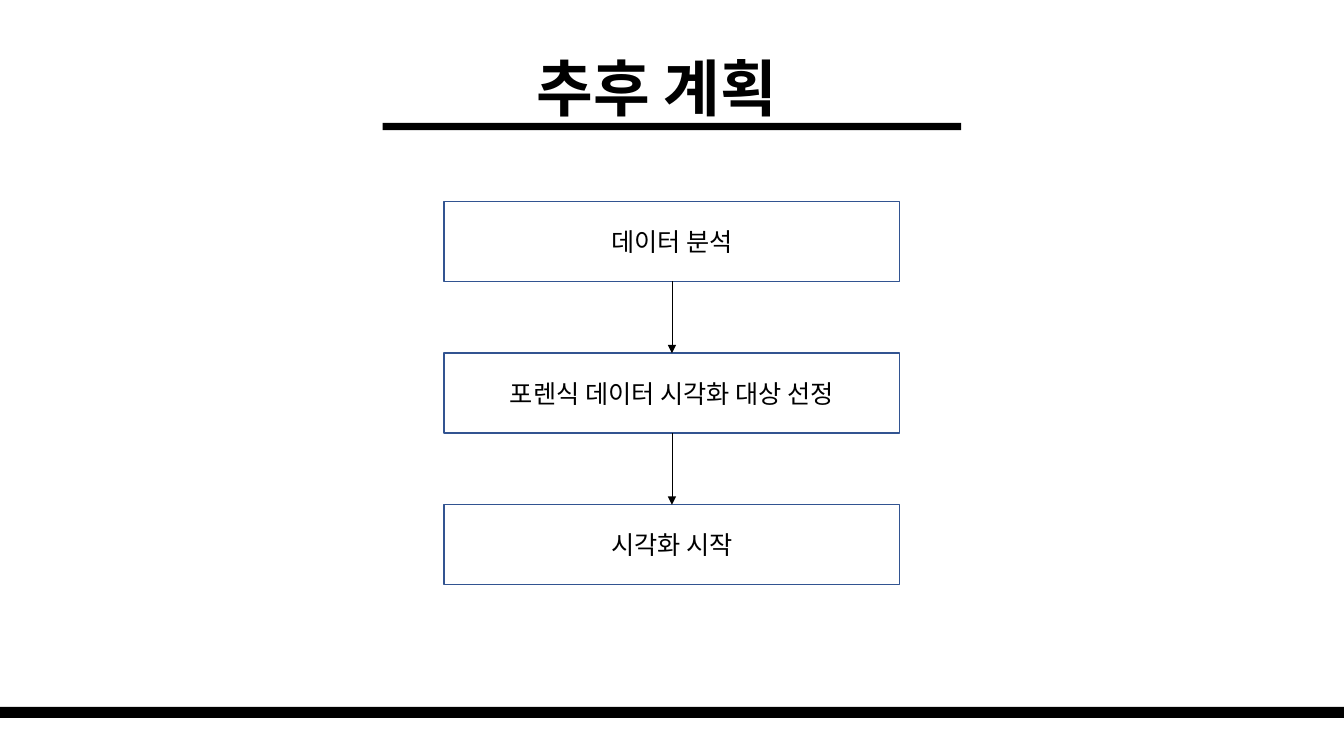
import pptx
import pptx.chart.data
import pptx.dml.color
import pptx.enum.shapes
import pptx.enum.text
import pptx.oxml.ns
import pptx.util
from lxml import etree

Cm = pptx.util.Cm
Pt = pptx.util.Pt
SHAPES = pptx.enum.shapes.MSO_SHAPE

# Content
TITLE = "추후 계획"
STEPS = ["데이터 분석", "포렌식 데이터 시각화 대상 선정", "시각화 시작"]

THEME = {
    "font": "Noto Sans CJK KR",
    "ink": "000000",
    "paper": "FFFFFF",
    "border": "325491",
    "title_size": 44,
    "step_size": 18,
    "border_width": 1,
    "arrow_width": 0.5,
}

# Layout in centimetres
PAGE_WIDTH, PAGE_HEIGHT = 33.87, 19.05
STEP_WIDTH, STEP_HEIGHT = 11.48, 2.01
STEP_TOP, STEP_PITCH = 5.08, 3.82
RULE_WIDTH = 14.58


def color(name):
    return pptx.dml.color.RGBColor.from_string(THEME[name])


def add_xml(parent, tag, **attributes):
    return etree.SubElement(parent, pptx.oxml.ns.qn(tag), attributes)


def write(box, text, size, bold=False):
    box.text_frame.text = text
    para = box.text_frame.paragraphs[0]
    para.alignment = pptx.enum.text.PP_ALIGN.CENTER
    span = para.runs[0]
    span.font.size = Pt(THEME[size])
    span.font.bold = bold
    span.font.color.rgb = color("ink")
    span.font.name = THEME["font"]
    add_xml(span.font._element, "a:ea", typeface=THEME["font"])


def add_rectangle(page, left, top, width, height, fill):
    box = page.shapes.add_shape(
        SHAPES.RECTANGLE, Cm(left), Cm(top), Cm(width), Cm(height))
    box.shadow.inherit = False
    box.fill.solid()
    box.fill.fore_color.rgb = color(fill)
    box.line.fill.background()
    return box


def add_step(page, index, text):
    box = add_rectangle(page, (PAGE_WIDTH - STEP_WIDTH) / 2,
                        STEP_TOP + index * STEP_PITCH,
                        STEP_WIDTH, STEP_HEIGHT, "paper")
    box.line.color.rgb = color("border")
    box.line.width = Pt(THEME["border_width"])
    box.text_frame.vertical_anchor = pptx.enum.text.MSO_ANCHOR.MIDDLE
    write(box, text, "step_size")
    return box


def add_arrow(page, upper, lower):
    arrow = page.shapes.add_connector(
        pptx.enum.shapes.MSO_CONNECTOR.STRAIGHT, 0, 0, 0, 0)
    arrow.begin_connect(upper, 2)
    arrow.end_connect(lower, 0)
    arrow.line.color.rgb = color("ink")
    arrow.line.width = Pt(THEME["arrow_width"])
    add_xml(arrow.line._get_or_add_ln(), "a:tailEnd", type="triangle")
    add_xml(arrow._element.spPr, "a:effectLst")


def main():
    deck = pptx.Presentation()
    deck.slide_width, deck.slide_height = Cm(PAGE_WIDTH), Cm(PAGE_HEIGHT)
    page = deck.slides.add_slide(deck.slide_layouts[6])

    # Title rule and footer bar
    add_rectangle(page, (PAGE_WIDTH - RULE_WIDTH) / 2, 3.1, RULE_WIDTH, 0.18, "ink")
    add_rectangle(page, 0, 17.81, PAGE_WIDTH, 0.28, "ink")

    # Title
    title = page.shapes.add_textbox(Cm(13.18), Cm(1.14), Cm(6.76), Cm(2.13))
    title.text_frame.word_wrap = False
    title.text_frame.auto_size = pptx.enum.text.MSO_AUTO_SIZE.SHAPE_TO_FIT_TEXT
    write(title, TITLE, "title_size", bold=True)

    # Steps joined by arrows
    steps = [add_step(page, index, text) for index, text in enumerate(STEPS)]
    for upper, lower in zip(steps, steps[1:]):
        add_arrow(page, upper, lower)

    deck.save("out.pptx")


if __name__ == "__main__":
    main()
